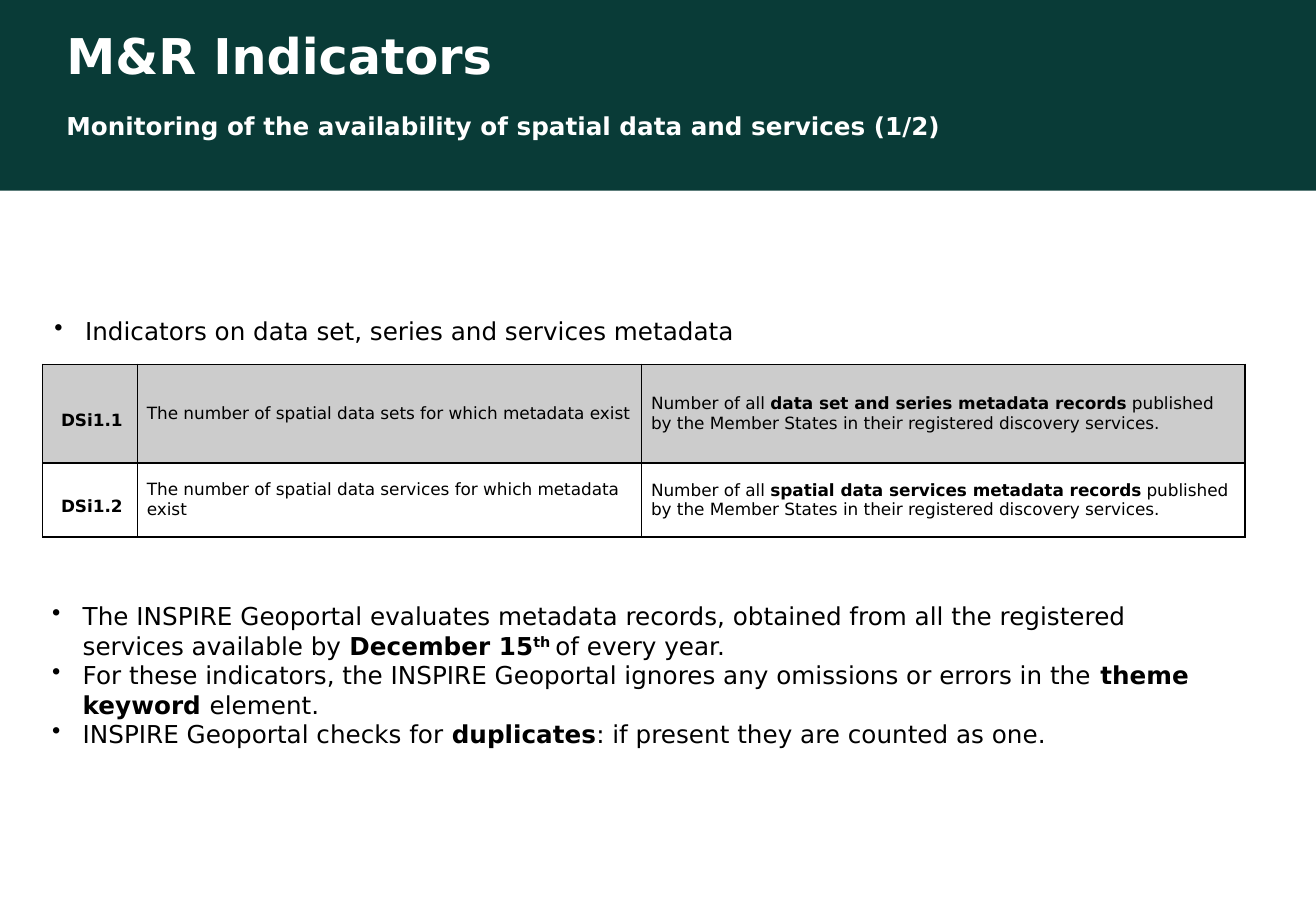
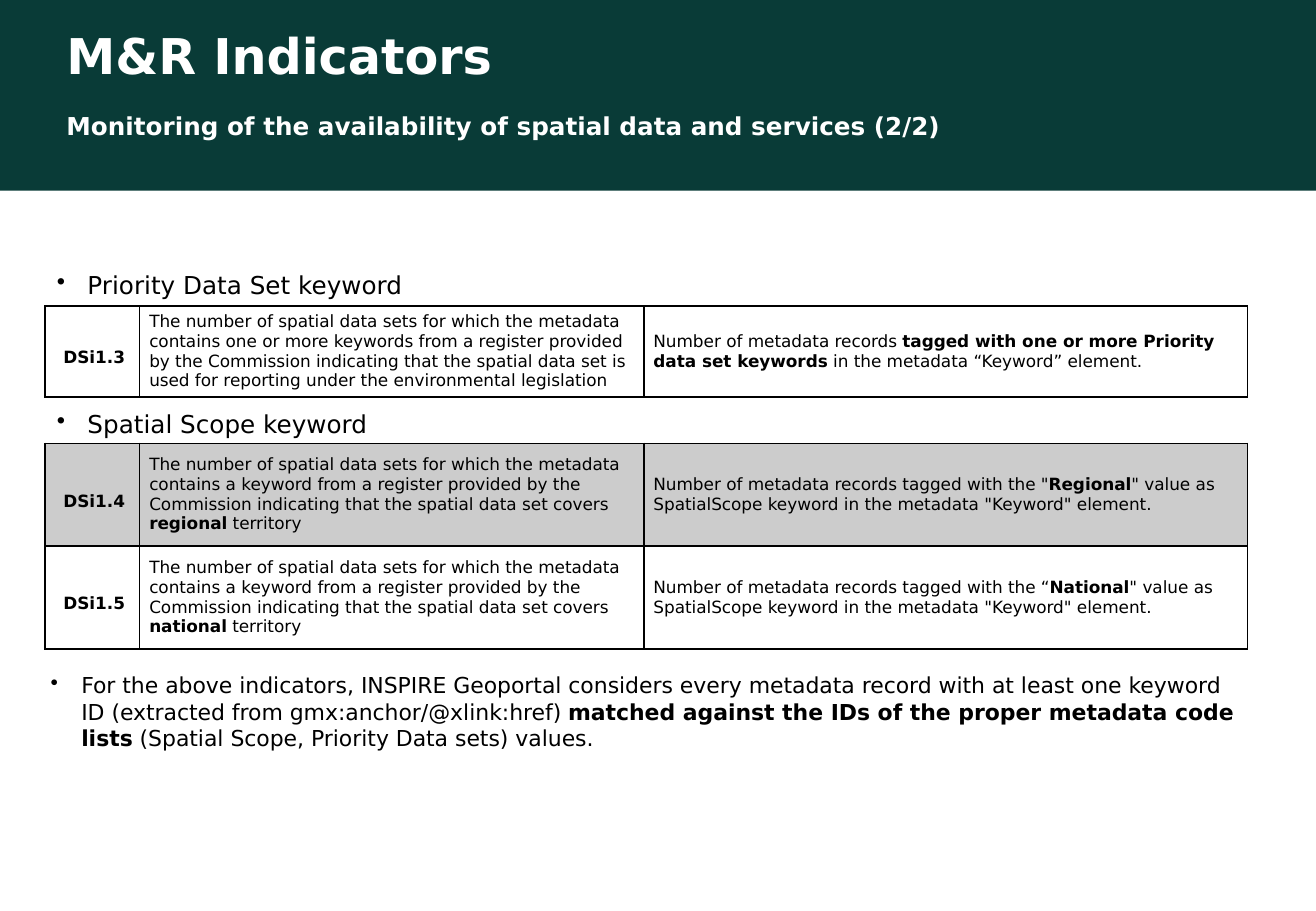
from dataclasses import dataclass

from lxml import etree
from pptx import Presentation, slide as sl, util as u
from pptx.dml import color
from pptx.enum import shapes, text
from pptx.oxml import ns

Cm, Pt = u.Cm, u.Pt
FONT = "DejaVu Sans"
HUES = {"band": "093B37", "white": "FFFFFF", "ink": "000000", "shade": "CCCCCC"}
WIDE, HIGH = 27.51, 19.05
COLS = (1.98, 10.54, 12.62)
HANG = Cm(0.64)
TIGHT = (0.2, 0.1, 0.2, 0.1)
CODE = (0.08, 0.25, 0, 0)
LOOSE = (0.25, 0.13, 0.25, 0.13)


@dataclass
class Box:
    """Text block; * toggles bold and ^ toggles superscript."""
    left: float
    top: float
    width: float
    height: float
    lines: tuple[str, ...]
    size: float = 14.6
    pad: tuple[float, ...] = LOOSE


@dataclass
class Row:
    height: float
    code: str
    name: str
    note: str
    shade: bool = False


@dataclass
class Grid:
    left: float
    top: float
    rows: tuple[Row, ...]


@dataclass
class Page:
    count: str
    grids: tuple[Grid, ...]
    boxes: tuple[Box, ...]


def rgb(key: str) -> color.RGBColor:
    return color.RGBColor.from_string(HUES[key])


def write(para, line: str, size: float, hue: str = "ink") -> None:
    """Fill a paragraph with runs from marked text."""
    font = para.font
    font.name, font.size, font.color.rgb = FONT, Pt(size), rgb(hue)
    for i, piece in enumerate(line.split("*")):
        for j, words in enumerate(piece.split("^")):
            if words:
                run = para.add_run()
                run.text = words
                run.font.bold = i % 2 == 1
                if j % 2:
                    run._r.get_or_add_rPr().set("baseline", "30000")


def inset(obj, pad: tuple[float, ...]) -> None:
    obj.margin_left, obj.margin_top, obj.margin_right, obj.margin_bottom = map(Cm, pad)


def bullet(para) -> None:
    props = para._p.get_or_add_pPr()
    props.set("marL", str(HANG))
    props.set("indent", str(-HANG))
    etree.SubElement(props, ns.qn("a:buChar")).set("char", "•")


def edge(cell) -> None:
    """Draw thin lines on all four sides of a cell."""
    props = cell._tc.get_or_add_tcPr()
    for side in "LRTB":
        line = etree.SubElement(props, ns.qn(f"a:ln{side}"), w=str(Pt(1)))
        fill = etree.SubElement(line, ns.qn("a:solidFill"))
        etree.SubElement(fill, ns.qn("a:srgbClr"), val=HUES["ink"])


def add_box(page: sl.Slide, box: Box, hue: str = "ink", dots: bool = True) -> list:
    shape = page.shapes.add_textbox(*map(Cm, (box.left, box.top, box.width, box.height)))
    frame = shape.text_frame
    frame.word_wrap = True
    frame.auto_size = text.MSO_AUTO_SIZE.SHAPE_TO_FIT_TEXT if dots else text.MSO_AUTO_SIZE.NONE
    inset(frame, box.pad)
    for i, line in enumerate(box.lines):
        para = frame.add_paragraph() if i else frame.paragraphs[0]
        if dots:
            bullet(para)
        write(para, line, box.size, hue)
    return list(frame.paragraphs)


def add_grid(page: sl.Slide, grid: Grid) -> None:
    tall = sum(row.height for row in grid.rows)
    table = page.shapes.add_table(
        len(grid.rows), len(COLS), Cm(grid.left), Cm(grid.top), Cm(sum(COLS)), Cm(tall)).table
    table.first_row = table.horz_banding = False
    for col, width in zip(table.columns, COLS):
        col.width = Cm(width)
    for i, row in enumerate(grid.rows):
        table.rows[i].height = Cm(row.height)
        for j, words in enumerate((f"*{row.code}*", row.name, row.note)):
            cell = table.cell(i, j)
            edge(cell)
            if row.shade:
                cell.fill.solid()
                cell.fill.fore_color.rgb = rgb("shade")
            else:
                cell.fill.background()
            cell.vertical_anchor = text.MSO_ANCHOR.MIDDLE
            inset(cell, TIGHT if j else CODE)
            para = cell.text_frame.paragraphs[0]
            para.line_spacing = (1.07, 1.0, 0.99)[j]
            if j == 0:
                para.alignment = text.PP_ALIGN.CENTER
            elif j == 2:
                para.space_after = Pt(6)
            write(para, words, 10)


def add_head(page: sl.Slide, count: str) -> None:
    """Band, title and subtitle shared by all slides."""
    band = page.shapes.add_shape(shapes.MSO_SHAPE.RECTANGLE, 0, 0, Cm(WIDE), Cm(3.99))
    band.shadow.inherit = False
    band.fill.solid()
    band.fill.fore_color.rgb = rgb("band")
    band.line.fill.background()
    title = Box(1.14, 0.53, 9.55, 1.37, ("*M&R Indicators*",), 29.2)
    para = add_box(page, title, "white", False)[0]
    para.line_spacing, para.space_before = 0.9, Pt(8.1)
    line = f"*Monitoring of the availability of spatial data and services ({count})*"
    add_box(page, Box(1.14, 2.18, 19.18, 0.89, (line,)), "white", False)


# Wording shared by rows of the same kind
def scope(code: str, area: str, mark: str, shade: bool = False) -> Row:
    return Row(
        2.15, code,
        "The number of spatial data sets for which the metadata contains a keyword from a "
        "register provided by the Commission indicating that the spatial data set covers "
        f"*{area}* territory",
        f"Number of metadata records tagged with the {mark}*{area.title()}*\" value as "
        "SpatialScope keyword in the metadata \"Keyword\" element.", shade)


def total(high: float, code: str, kind: str, what: str, shade: bool = False) -> Row:
    return Row(
        high, code,
        f"The number of spatial data {kind} for which metadata exist",
        f"Number of all *{what} metadata records* published by the Member States in "
        "their registered discovery services.", shade)


# Content of the slides
PAGES = (
    Page(
        "1/2",
        (Grid(0.89, 7.62, (
            total(2.06, "DSi1.1", "sets", "data set and series", True),
            total(1.55, "DSi1.2", "services", "spatial data services"))),),
        (Box(0.89, 6.48, 25.12, 0.89, ("Indicators on data set, series and services metadata",)),
         Box(0.89, 12.47, 25.12, 3.33, (
             "The INSPIRE Geoportal evaluates metadata records, obtained from all the "
             "registered services available by *December 15^th ^*of every year.",
             "For these indicators, the INSPIRE Geoportal ignores any omissions or errors "
             "in the *theme keyword *element.",
             "INSPIRE Geoportal checks for *duplicates*: if present they are counted as one.",
         ), pad=TIGHT))),
    Page(
        "2/2",
        (Grid(0.94, 6.4, (Row(
            1.9, "DSi1.3",
            "The number of spatial data sets for which the metadata contains one or more "
            "keywords from a register provided by the Commission indicating that the spatial "
            "data set is used for reporting under the environmental legislation",
            "Number of metadata records *tagged with one or more Priority data set keywords* "
            "in the metadata “Keyword” element."),)),
         Grid(0.94, 9.27, (
             scope("DSi1.4", "regional", "\"", True),
             scope("DSi1.5", "national", "“")))),
        (Box(0.94, 5.51, 21.34, 0.89, ("Priority Data Set keyword",)),
         Box(0.94, 8.43, 21.34, 0.89, ("Spatial Scope keyword",)),
         Box(0.81, 13.92, 25.25, 1.93, (
             "For the above indicators, INSPIRE Geoportal considers every metadata record "
             "with at least one keyword ID (extracted from gmx:anchor/@xlink:href) *matched "
             "against the IDs of the proper metadata code lists* (Spatial Scope, Priority "
             "Data sets) values.",), 13))),
)


def main() -> None:
    deck = Presentation()
    deck.slide_width, deck.slide_height = Cm(WIDE), Cm(HIGH)
    for item in PAGES:
        page = deck.slides.add_slide(deck.slide_layouts[6])
        add_head(page, item.count)
        for grid in item.grids:
            add_grid(page, grid)
        for box in item.boxes:
            add_box(page, box)
    deck.save("out.pptx")


if __name__ == "__main__":
    main()
